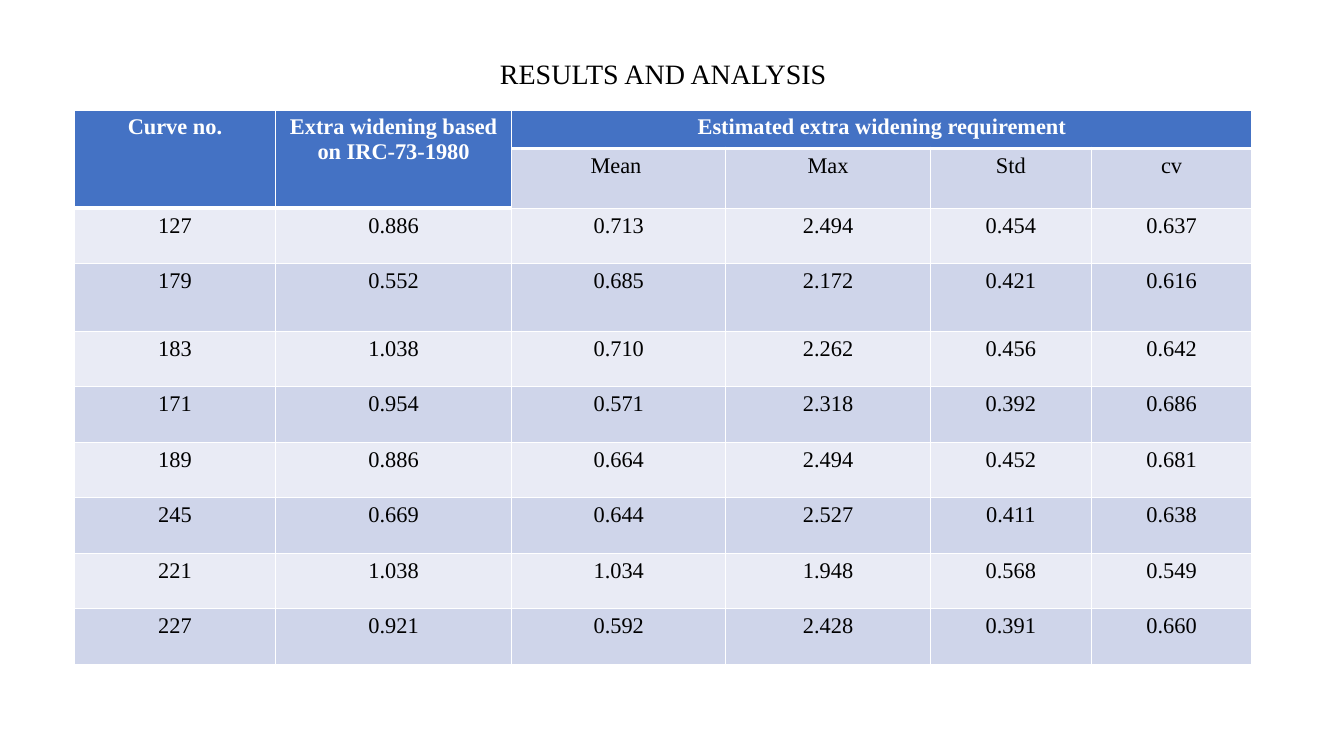
from lxml.etree import SubElement
from pptx import Presentation
from pptx.dml.color import RGBColor as Color
from pptx.enum.text import MSO_ANCHOR as Anchor, PP_ALIGN as Align
from pptx.oxml.ns import qn
from pptx.util import Cm, Pt

COLORS = {
    "text": "000000",
    "white": "FFFFFF",
    "header": "4472C4",
    "band_dark": "CFD5EA",
    "band_light": "E9EBF5",
}
LEFT, WIDTH = 1.88, 29.67
COLUMN_WIDTHS = [5.06, 5.96, 5.39, 5.16, 4.05, 4.05]
ROW_HEIGHTS = [0.97, 1.47, 1.4, 1.7] + [1.4] * 6
ROWS = [
    ["Curve no.", "Extra widening based on IRC-73-1980",
     "Estimated extra widening requirement", "", "", ""],
    ["", "", "Mean ", "Max", "Std", "cv"],
    ["127", "0.886", "0.713", "2.494", "0.454", "0.637"],
    ["179", "0.552", "0.685", "2.172", "0.421", "0.616"],
    ["183", "1.038", "0.710", "2.262", "0.456", "0.642"],
    ["171", "0.954", "0.571", "2.318", "0.392", "0.686"],
    ["189", "0.886", "0.664", "2.494", "0.452", "0.681"],
    ["245", "0.669", "0.644", "2.527", "0.411", "0.638"],
    ["221", "1.038", "1.034", "1.948", "0.568", "0.549"],
    ["227", "0.921", "0.592", "2.428", "0.391", "0.660"],
]
MERGES = [((0, 0), (1, 0)), ((0, 1), (1, 1)), ((0, 2), (0, 5))]


def is_header(row, column):
    return row == 0 or (row == 1 and column < 2)


class SlideBuilder:
    font_name = "Times New Roman"

    def __init__(self, presentation):
        self.slide = presentation.slides.add_slide(presentation.slide_layouts[5])

    def add_run(self, paragraph, text, size, color, bold=False):
        paragraph.alignment = Align.CENTER
        run = paragraph.add_run()
        run.text = text
        run.font.name = self.font_name
        run.font.size = Pt(size)
        run.font.bold = bold
        run.font.color.rgb = Color.from_string(COLORS[color])

    def title(self, text, left, top, width, height):
        shape = self.slide.shapes.title
        shape.left, shape.top = Cm(left), Cm(top)
        shape.width, shape.height = Cm(width), Cm(height)
        shape.text_frame.vertical_anchor = Anchor.MIDDLE
        paragraph = shape.text_frame.paragraphs[0]
        paragraph.line_spacing = 0.9
        self.add_run(paragraph, text, 20, "text")

    def borders(self, cell, top, bottom):
        properties = cell._tc.get_or_add_tcPr()
        for side, points in {"L": 1, "R": 1, "T": top, "B": bottom}.items():
            line = SubElement(properties, qn(f"a:ln{side}"), w=str(Pt(points)))
            fill = SubElement(line, qn("a:solidFill"))
            SubElement(fill, qn("a:srgbClr"), val=COLORS["white"])

    def cell(self, cell, text, row, column):
        header = is_header(row, column)
        below_header = row > 0 and is_header(row - 1, column)
        self.borders(cell, 3 if below_header else 1, 3 if header else 1)
        band = "band_dark" if row % 2 else "band_light"
        cell.fill.solid()
        cell.fill.fore_color.rgb = Color.from_string(COLORS["header" if header else band])
        if text:
            self.add_run(cell.text_frame.paragraphs[0], text, 16,
                         "white" if header else "text", header)

    def table(self, rows, left, top, widths, heights, merges):
        frame = self.slide.shapes.add_table(
            len(rows), len(widths), Cm(left), Cm(top), Cm(sum(widths)), Cm(sum(heights)))
        table = frame.table
        for column, width in zip(table.columns, widths):
            column.width = Cm(width)
        for row, height in zip(table.rows, heights):
            row.height = Cm(height)
        for first, last in merges:
            table.cell(*first).merge(table.cell(*last))
        for row, texts in enumerate(rows):
            for column, text in enumerate(texts):
                self.cell(table.cell(row, column), text, row, column)


def main():
    presentation = Presentation()
    presentation.slide_width, presentation.slide_height = Cm(33.87), Cm(19.05)
    builder = SlideBuilder(presentation)
    builder.title("RESULTS AND ANALYSIS", LEFT, 1.02, WIDTH, 1.75)
    builder.table(ROWS, LEFT, 2.77, COLUMN_WIDTHS, ROW_HEIGHTS, MERGES)
    presentation.save("out.pptx")


if __name__ == "__main__":
    main()
